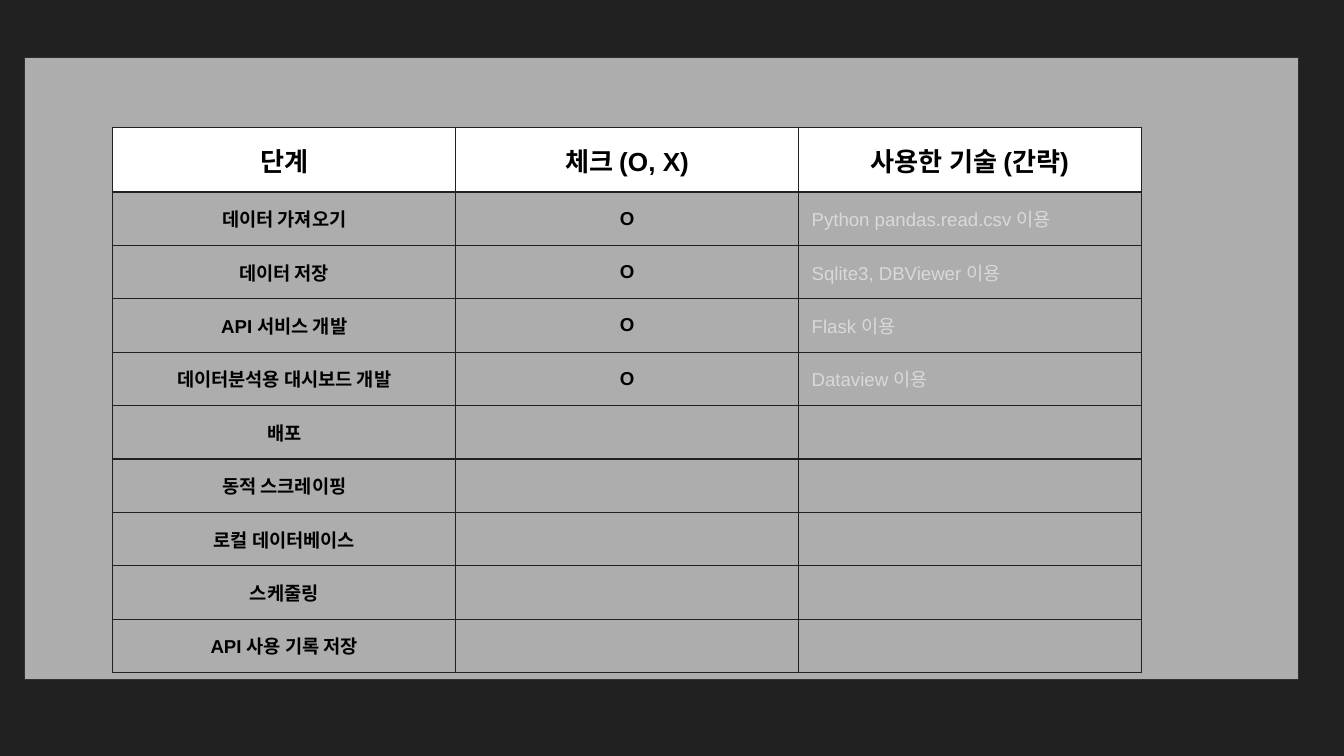
from lxml import etree
from pptx import Presentation, util as u
from pptx.dml.color import RGBColor
from pptx.enum import shapes, text
from pptx.oxml.ns import qn

CHARCOAL = RGBColor(0x21, 0x21, 0x21)
EDGE = RGBColor(0x30, 0x30, 0x30)
GREY = RGBColor(0xAD, 0xAD, 0xAD)
PALE = RGBColor(0xD9, 0xD9, 0xD9)
BLACK = RGBColor(0, 0, 0)
WHITE = RGBColor(0xFF, 0xFF, 0xFF)

HEADINGS = ("단계", "체크 (O, X)", "사용한 기술 (간략)")
STEPS = (
    ("데이터 가져오기", "O", "Python pandas.read.csv 이용"),
    ("데이터 저장", "O", "Sqlite3, DBViewer 이용"),
    ("API 서비스 개발", "O", "Flask 이용"),
    ("데이터분석용 대시보드 개발", "O", "Dataview 이용"),
    ("배포", "", ""),
    ("동적 스크레이핑", "", ""),
    ("로컬 데이터베이스", "", ""),
    ("스케줄링", "", ""),
    ("API 사용 기록 저장", "", ""),
)


def write(frame, words, size=10, color=BLACK, bold=True, align=text.PP_ALIGN.CENTER):
    paragraph = frame.paragraphs[0]
    paragraph.alignment = align
    if not words:
        end = etree.SubElement(paragraph._p, qn("a:endParaRPr"))
        end.set("sz", str(size * 100))
        return
    run = paragraph.add_run()
    run.text = words
    run.font.name = "Arial"
    run.font.size = u.Pt(size)
    run.font.bold = bold
    run.font.color.rgb = color


class Board:
    """Draws the elements of a slide in one shared style."""

    def __init__(self, slide, line_width=0.75, inset=0.25):
        self.slide = slide
        self.line_width = u.Pt(line_width)
        self.inset = u.Cm(inset)

    def background(self, color):
        fill = self.slide.background.fill
        fill.solid()
        fill.fore_color.rgb = color

    def panel(self, left, top, width, height, fill, line):
        panel = self.slide.shapes.add_shape(
            shapes.MSO_SHAPE.RECTANGLE, *map(u.Cm, (left, top, width, height)))
        panel.shadow.inherit = False
        panel.fill.solid()
        panel.fill.fore_color.rgb = fill
        panel.line.color.rgb = line
        panel.line.width = self.line_width

    def border(self, cell, color):
        properties = cell._tc.get_or_add_tcPr()
        for place, side in enumerate(("lnL", "lnR", "lnT", "lnB")):
            line = etree.Element(qn(f"a:{side}"), w=str(self.line_width))
            solid = etree.SubElement(line, qn("a:solidFill"))
            etree.SubElement(solid, qn("a:srgbClr"), val=str(color))
            properties.insert(place, line)

    def cell(self, cell, words, fill=None, **style):
        cell.margin_left = cell.margin_right = self.inset
        cell.margin_top = cell.margin_bottom = self.inset
        cell.vertical_anchor = text.MSO_ANCHOR.MIDDLE
        if fill is None:
            cell.fill.background()
        else:
            cell.fill.solid()
            cell.fill.fore_color.rgb = fill
        self.border(cell, CHARCOAL)
        write(cell.text_frame, words, **style)

    def checklist(self, left, top, width, height, row_height, headings, steps):
        frame = self.slide.shapes.add_table(
            len(steps) + 1, len(headings), *map(u.Cm, (left, top, width, height)))
        table = frame.table
        table.first_row = table.horz_banding = False
        for row in table.rows:
            row.height = u.Cm(row_height)
        frame.height = u.Cm(height)
        for column, heading in enumerate(headings):
            self.cell(table.cell(0, column), heading, fill=WHITE, size=14)
        technique = dict(color=PALE, bold=False, align=text.PP_ALIGN.LEFT)
        for row, step in enumerate(steps, start=1):
            for column, (words, style) in enumerate(zip(step, ({}, {}, technique))):
                self.cell(table.cell(row, column), words, **style)


deck = Presentation()
deck.slide_width, deck.slide_height = u.Cm(25.4), u.Cm(14.29)
board = Board(deck.slides.add_slide(deck.slide_layouts[6]))
board.background(CHARCOAL)
board.panel(0.46, 1.09, 24.08, 11.76, GREY, EDGE)
board.checklist(2.13, 2.41, 19.44, 9.47, 0.79, HEADINGS, STEPS)
deck.save("out.pptx")
